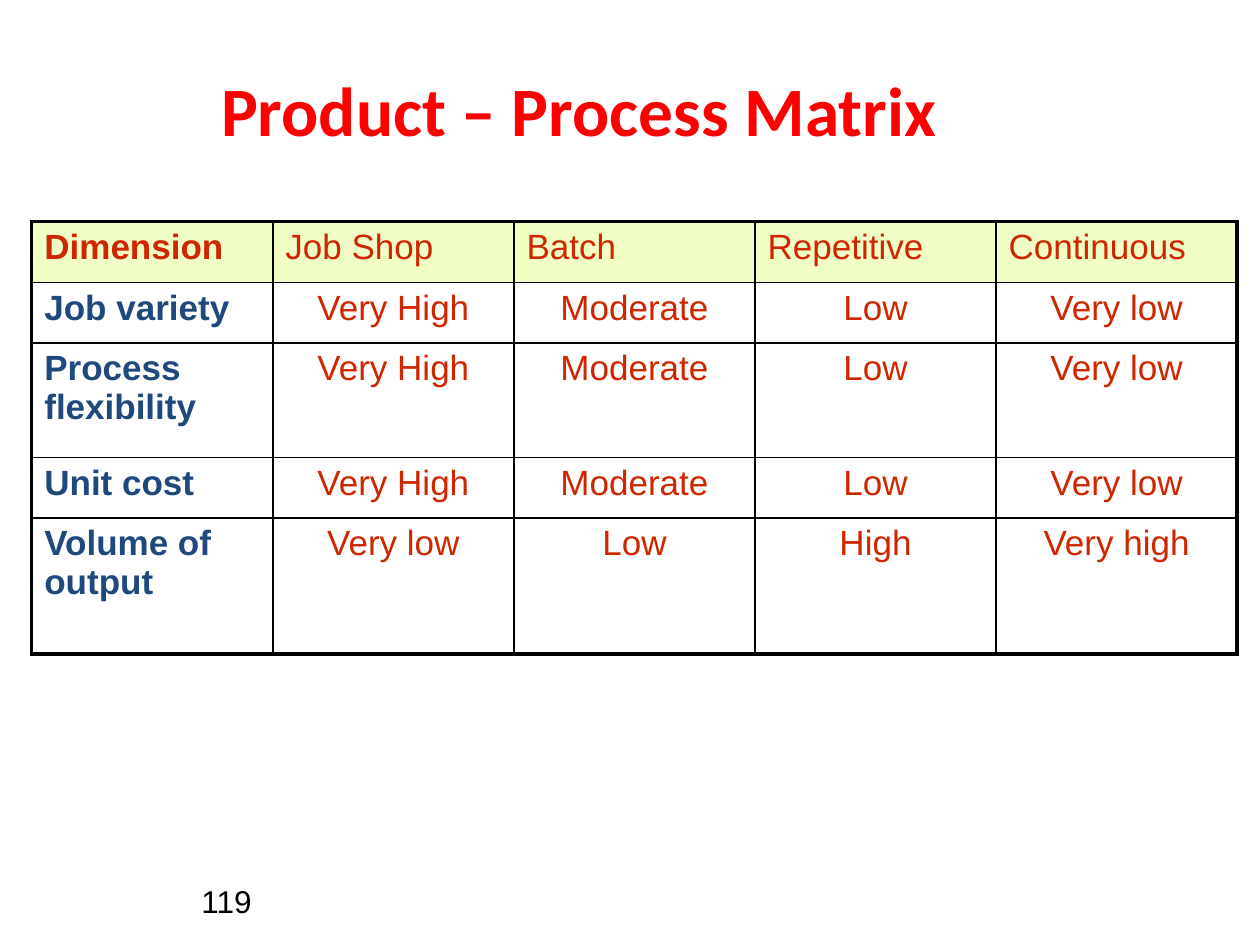
from lxml import etree
from pptx import Presentation
from pptx.dml.color import RGBColor
from pptx.enum.text import MSO_ANCHOR, PP_ALIGN
from pptx.oxml.ns import qn
from pptx.util import Cm, Pt

LEFT, CENTER = PP_ALIGN.LEFT, PP_ALIGN.CENTER
MIDDLE = MSO_ANCHOR.MIDDLE

TITLE = "Product – Process Matrix"
PAGE = "119"
ROWS = [
    ("Dimension", "Job Shop", "Batch", "Repetitive", "Continuous"),
    ("Job variety", "Very High", "Moderate", "Low", "Very low"),
    ("Process flexibility", "Very High", "Moderate", "Low", "Very low"),
    ("Unit cost", "Very High", "Moderate", "Low", "Very low"),
    ("Volume of output", "Very low", "Low", "High", "Very high"),
]
HEIGHTS = [1.22, 1.22, 2.31, 1.22, 2.74]
WIDTH = 4.86
THIN, THICK = 1, 2.25
COLORS = {"title": "FF0000", "text": "CE2700", "label": "1F497D",
          "head": "F0FDC5", "line": "000000", "page": "000000"}


def color(name):
    return RGBColor.from_string(COLORS[name])


def write(frame, text, size, hue, font="Arial", bold=False, align=LEFT):
    par = frame.paragraphs[0]
    par.alignment = align
    run = par.add_run()
    run.text = text
    run.font.size = Pt(size)
    run.font.name = font
    run.font.bold = bold
    run.font.color.rgb = color(hue)
    return par


def add_box(slide, left, top, width, height):
    frame = slide.shapes.add_textbox(
        Cm(left), Cm(top), Cm(width), Cm(height)).text_frame
    frame.word_wrap = True
    frame.vertical_anchor = MIDDLE
    return frame


def add_edges(cell, widths):
    """Draw the cell borders; the lines must come before the fill."""
    props = cell._tc.get_or_add_tcPr()
    for spot, (side, width) in enumerate(widths.items()):
        line = etree.Element(qn("a:ln" + side), w=str(Pt(width)))
        fill = etree.SubElement(line, qn("a:solidFill"))
        etree.SubElement(fill, qn("a:srgbClr"), val=COLORS["line"])
        props.insert(spot, line)


def add_grid(slide):
    rows, cols = len(ROWS), len(ROWS[0])
    grid = slide.shapes.add_table(
        rows, cols, Cm(0.64), Cm(4.47),
        Cm(WIDTH * cols), Cm(sum(HEIGHTS))).table
    for col in grid.columns:
        col.width = Cm(WIDTH)
    for r, texts in enumerate(ROWS):
        grid.rows[r].height = Cm(HEIGHTS[r])
        for c, text in enumerate(texts):
            cell = grid.cell(r, c)
            if r == 0:
                cell.fill.solid()
                cell.fill.fore_color.rgb = color("head")
            else:
                cell.fill.background()
            write(cell.text_frame, text, 20,
                  "label" if r and c == 0 else "text", bold=c == 0,
                  align=CENTER if r and c else LEFT)
            outer = {"L": c == 0, "R": c == cols - 1,
                     "T": r == 0, "B": r == rows - 1}
            add_edges(cell, {side: THICK if edge else THIN
                             for side, edge in outer.items()})


def main():
    deck = Presentation()
    deck.slide_width, deck.slide_height = Cm(25.4), Cm(19.05)
    slide = deck.slides.add_slide(deck.slide_layouts[6])

    page = write(add_box(slide, 1.27, 17.65, 5.92, 1.02), PAGE, 18, "page")
    page._p.get_or_add_pPr().set("marL", str(Cm(2.54)))
    add_grid(slide)
    write(add_box(slide, 0.89, 1.6, 21.56, 1.19), TITLE, 39.6, "title",
          font="Calibri", bold=True, align=CENTER)
    deck.save("out.pptx")


if __name__ == "__main__":
    main()
